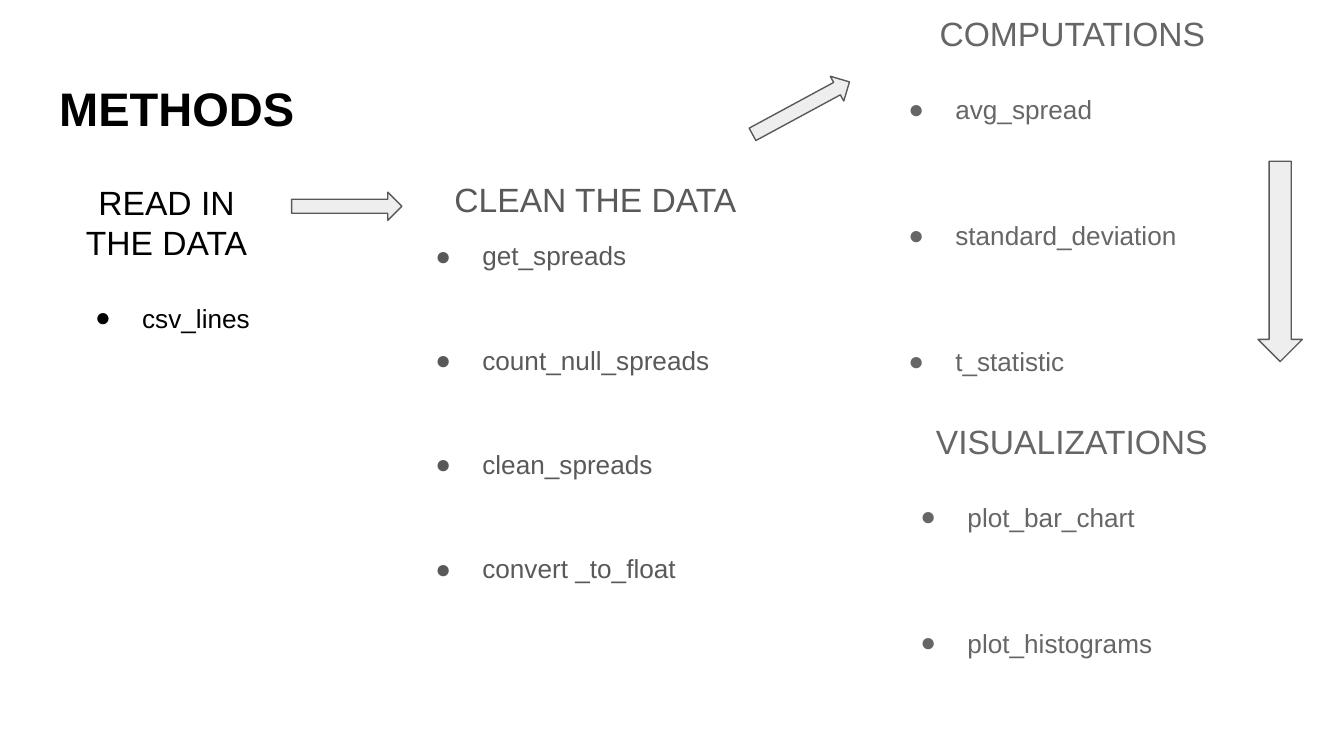
from lxml import etree
from pptx import Presentation
from pptx.dml.color import RGBColor
from pptx.enum.shapes import MSO_SHAPE
from pptx.enum.text import MSO_ANCHOR, MSO_AUTO_SIZE, PP_ALIGN
from pptx.oxml.ns import qn
from pptx.util import Inches, Pt

RIGHT_ARROW = MSO_SHAPE.RIGHT_ARROW
TOP = MSO_ANCHOR.TOP
NO_FIT = MSO_AUTO_SIZE.NONE
LEFT, CENTER = PP_ALIGN.LEFT, PP_ALIGN.CENTER
WIDTH = 10
HEIGHT = WIDTH * 9 / 16
BLACK, DARK, GRAY, PALE = "000000", "595959", "666666", "EEEEEE"


def color(value):
    """Turn a hex string into a colour."""
    return RGBColor.from_string(value)


def write(paragraph, text, size=14, ink=BLACK, bold=False, align=LEFT,
          before=0, spacing=1.0):
    """Put formatted text into a paragraph."""
    paragraph.alignment = align
    paragraph.space_before = Pt(before)
    paragraph.line_spacing = spacing
    run = paragraph.add_run()
    run.text = text
    run.font.name = "Arial"
    run.font.size = Pt(size)
    run.font.bold = bold
    run.font.color.rgb = color(ink)


def add_bullet(paragraph, ink):
    """Give a paragraph a hanging round bullet."""
    properties = paragraph._p.get_or_add_pPr()
    properties.set("marL", str(Inches(0.5)))
    properties.set("indent", str(Inches(-0.35)))
    bullet_color = etree.SubElement(properties, qn("a:buClr"))
    etree.SubElement(bullet_color, qn("a:srgbClr")).set("val", ink)
    etree.SubElement(properties, qn("a:buFont")).set("typeface", "Arial")
    etree.SubElement(properties, qn("a:buChar")).set("char", "●")


class MethodsSlide:
    """Holds the slide and the style of its elements."""

    def __init__(self, presentation):
        """Add a title-only slide."""
        self.slide = presentation.slides.add_slide(presentation.slide_layouts[5])

    def place(self, shape, left, top, width, height):
        """Set the frame of a shape in inches."""
        shape.left, shape.top = Inches(left), Inches(top)
        shape.width, shape.height = Inches(width), Inches(height)

    def prepare(self, shape):
        """Set equal margins and top-anchored wrapping, and return the frame."""
        frame = shape.text_frame
        frame.word_wrap = True
        frame.auto_size = NO_FIT
        frame.vertical_anchor = TOP
        frame.margin_left = frame.margin_right = Inches(0.1)
        frame.margin_top = frame.margin_bottom = Inches(0.1)
        return frame

    def title(self, text, *box):
        """Fill and move the title."""
        shape = self.slide.shapes.title
        self.place(shape, *box)
        write(self.prepare(shape).paragraphs[0], text, size=25.2, bold=True)

    def step(self, heading, methods, *box, ink=GRAY, first_gap=21.5,
             gap=50.6, spacing=1.0):
        """Add a centred heading with a list of methods below it."""
        shape = self.slide.shapes.add_textbox(*(Inches(value) for value in box))
        frame = self.prepare(shape)
        write(frame.paragraphs[0], heading, size=18, ink=ink, align=CENTER,
              spacing=spacing)
        for index, method in enumerate(methods):
            paragraph = frame.add_paragraph()
            write(paragraph, method, ink=ink, spacing=spacing,
                  before=gap if index else first_gap)
            add_bullet(paragraph, ink)

    def arrow(self, *box, rotation=0):
        """Add a pale block arrow, turned clockwise by rotation."""
        shape = self.slide.shapes.add_shape(
            RIGHT_ARROW, *(Inches(value) for value in box))
        shape.rotation = rotation
        shape.shadow.inherit = False
        shape.fill.solid()
        shape.fill.fore_color.rgb = color(PALE)
        shape.line.color.rgb = color(DARK)
        shape.line.width = Pt(0.75)


def main():
    """Build the slide and save it."""
    presentation = Presentation()
    presentation.slide_width = Inches(WIDTH)
    presentation.slide_height = Inches(HEIGHT)
    methods = MethodsSlide(presentation)
    methods.title("METHODS", 0.34, 0.49, 9.32, 0.63)
    methods.step("CLEAN THE DATA",
                 ["get_spreads", "count_null_spreads", "clean_spreads",
                  "convert _to_float"],
                 2.99, 1.25, 2.88, 3.74,
                 ink=DARK, first_gap=12, gap=39.9, spacing=0.95)
    methods.arrow(5.55, 0.7, 0.82, 0.21, rotation=331.6)
    methods.step("COMPUTATIONS",
                 ["avg_spread", "standard_deviation", "t_statistic"],
                 6.51, 0, 2.94, 3.54)
    methods.step("VISUALIZATIONS", ["plot_bar_chart", "plot_histograms"],
                 6.6, 3.03, 2.75, 2.59)
    methods.arrow(8.78, 1.78, 1.49, 0.33, rotation=90)
    methods.step("READ IN THE DATA", ["csv_lines"], 0.46, 1.25, 1.56, 1.35,
                 ink=BLACK)
    methods.arrow(2.17, 1.43, 0.82, 0.21)
    presentation.save("out.pptx")


main()
